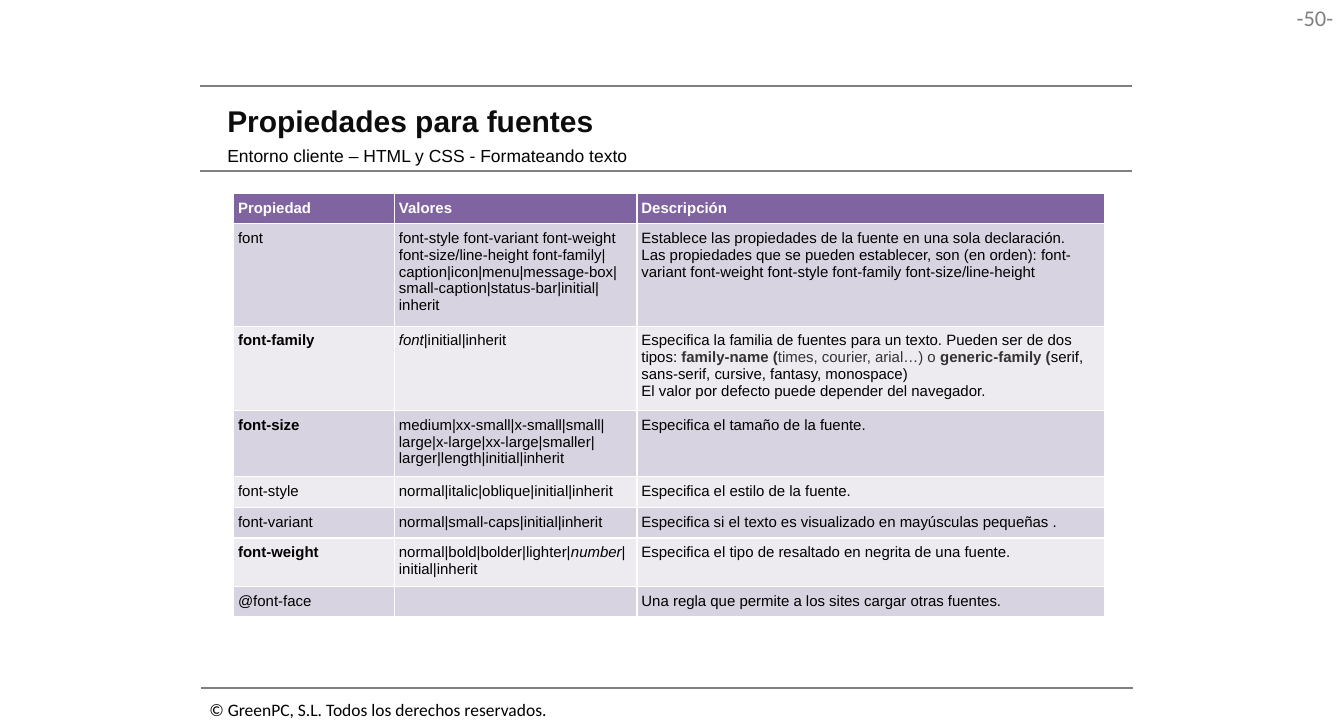
from dataclasses import dataclass
from typing import Optional, Union

from lxml import etree
from pptx import Presentation
from pptx.dml.color import RGBColor
from pptx.enum.shapes import MSO_CONNECTOR
from pptx.enum.text import MSO_ANCHOR, PP_ALIGN
from pptx.oxml.ns import qn
from pptx.util import Pt

STRAIGHT = MSO_CONNECTOR.STRAIGHT
TOP, MIDDLE = MSO_ANCHOR.TOP, MSO_ANCHOR.MIDDLE
LEFT, RIGHT = PP_ALIGN.LEFT, PP_ALIGN.RIGHT


@dataclass(frozen=True)
class Theme:
    head: str = "8064A2"
    bands: tuple = ("D8D3E0", "EDEAF0")
    white: str = "FFFFFF"
    black: str = "000000"
    title: str = "0D0D0D"
    soft: str = "333333"
    gray: str = "808080"
    sans: str = "Arial"
    plain: str = "Calibri"
    big: int = 24
    page: int = 18
    note: int = 14
    cell: int = 12


THEME = Theme()


@dataclass(frozen=True)
class Run:
    text: str
    bold: Optional[bool] = None
    italic: Optional[bool] = None
    color: Optional[str] = None


Line = Union[str, tuple[Run, ...]]


@dataclass(frozen=True)
class Prop:
    name: str
    values: Line
    about: tuple[Line, ...]
    bold: bool = False


@dataclass(frozen=True)
class Label:
    text: str
    box: tuple[float, float, float, float]
    size: int
    font: str
    color: str
    bold: bool = False
    align: PP_ALIGN = LEFT
    anchor: MSO_ANCHOR = TOP
    inset: tuple[float, float] = (7.2, 3.6)
    wrap: bool = False


@dataclass(frozen=True)
class Rule:
    left: float
    top: float
    width: float = 746.6


WIDE = (9.36, 5.04)
TITLE = Label("Propiedades para fuentes", (172.8, 77.04, 728.64, 38.88), THEME.big,
              THEME.sans, THEME.title, bold=True, anchor=MIDDLE, inset=WIDE, wrap=True)
LABELS = (
    Label("Entorno cliente – HTML y CSS - Formateando texto", (172.8, 111.6, 694.8, 26.64),
          THEME.note, THEME.sans, THEME.black, anchor=MIDDLE, inset=WIDE, wrap=True),
    Label("-50-", (1017.4, 0, 59, 29.5), THEME.page, THEME.plain, THEME.gray,
          align=RIGHT, inset=(7.92, 3.6)),
    Label("© GreenPC, S.L. Todos los derechos reservados.", (160.6, 556.6, 287.3, 24.5),
          THEME.note, THEME.plain, THEME.black),
)
RULES = (Rule(160.6, 69.1), Rule(160.6, 136.8), Rule(161.3, 551.5))

HEADS = ("Propiedad", "Valores", "Descripción")
WIDTHS = (128.9, 194.4, 374.4)
ROW = 23.04
PROPS = (
    Prop("font",
         "font-style font-variant font-weight font-size/line-height font-family|caption|icon|"
         "menu|message-box|small-caption|status-bar|initial|inherit",
         ("Establece las propiedades de la fuente en una sola declaración.",
          "Las propiedades que se pueden establecer, son (en orden): font-variant font-weight "
          "font-style font-family font-size/line-height")),
    Prop("font-family",
         (Run("font", italic=True), Run("|initial|inherit")),
         ((Run("Especifica la familia de fuentes para un texto. Pueden ser de dos tipos: "),
           Run("family-name (", bold=True, color=THEME.soft),
           Run("times, courier, arial…) o ", color=THEME.soft),
           Run("generic-family (", bold=True, color=THEME.soft),
           Run("serif, sans-serif, cursive, fantasy, monospace)")),
          "El valor por defecto puede depender del navegador."), bold=True),
    Prop("font-size",
         "medium|xx-small|x-small|small|large|x-large|xx-large|smaller|larger|length|"
         "initial|inherit",
         ("Especifica el tamaño de la fuente.",), bold=True),
    Prop("font-style", "normal|italic|oblique|initial|inherit",
         ("Especifica el estilo de la fuente.",)),
    Prop("font-variant", "normal|small-caps|initial|inherit",
         ("Especifica si el texto es visualizado en mayúsculas pequeñas .",)),
    Prop("font-weight",
         (Run("normal|bold|bolder|lighter|"), Run("number", italic=True),
          Run("|initial|inherit")),
         ("Especifica el tipo de resaltado en negrita de una fuente.",), bold=True),
    Prop("@font-face", "", ("Una regla que permite a los sites cargar otras fuentes.",)),
)


def style(font, size: int, name: str, color: str, bold: bool) -> None:
    font.size, font.name, font.bold = Pt(size), name, bold
    font.color.rgb = RGBColor.from_string(color)


def write(shape, label: Label) -> None:
    """Place a text shape and give it the label's text and format."""
    shape.left, shape.top, shape.width, shape.height = map(Pt, label.box)
    frame = shape.text_frame
    frame.word_wrap, frame.vertical_anchor = label.wrap, label.anchor
    frame.margin_left = frame.margin_right = Pt(label.inset[0])
    frame.margin_top = frame.margin_bottom = Pt(label.inset[1])
    frame.text = label.text
    para = frame.paragraphs[0]
    para.alignment = label.align
    style(para.font, label.size, label.font, label.color, label.bold)


def draw_rule(slide, rule: Rule) -> None:
    line = slide.shapes.add_connector(STRAIGHT, Pt(rule.left), Pt(rule.top),
                                      Pt(rule.left + rule.width), Pt(rule.top))
    line.line.width = Pt(1.5)
    line.line.color.rgb = RGBColor.from_string(THEME.gray)
    etree.SubElement(line._element.spPr, qn("a:effectLst"))


def fill_cell(cell, lines: tuple[Line, ...], fill: str, color: str, bold: bool) -> None:
    cell.fill.solid()
    cell.fill.fore_color.rgb = RGBColor.from_string(fill)
    cell.margin_left = cell.margin_right = Pt(3.6)
    cell.margin_top = cell.margin_bottom = Pt(5.04)
    frame = cell.text_frame
    for i, line in enumerate(lines):
        para = frame.add_paragraph() if i else frame.paragraphs[0]
        style(para.font, THEME.cell, THEME.sans, color, bold)
        if isinstance(line, str):
            para.text = line
            continue
        for part in line:
            run = para.add_run()
            run.text = part.text
            run.font.bold, run.font.italic = part.bold, part.italic
            if part.color:
                run.font.color.rgb = RGBColor.from_string(part.color)


def draw_table(slide) -> None:
    count = len(PROPS) + 1
    table = slide.shapes.add_table(count, len(HEADS), Pt(187.2), Pt(154.8),
                                   Pt(sum(WIDTHS)), Pt(ROW * count)).table
    for col, width in zip(table.columns, WIDTHS):
        col.width = Pt(width)
    for cell, head in zip(table.rows[0].cells, HEADS):
        fill_cell(cell, (head,), THEME.head, THEME.white, True)
    for i, prop in enumerate(PROPS):
        band = THEME.bands[i % 2]
        parts = ((prop.name,), (prop.values,), prop.about)
        for j, lines in enumerate(parts):
            fill_cell(table.cell(i + 1, j), lines, band, THEME.black, prop.bold and j == 0)


def main() -> None:
    deck = Presentation()
    deck.slide_width, deck.slide_height = Pt(1077.12), Pt(581.04)
    slide = deck.slides.add_slide(deck.slide_layouts[5])
    for rule in RULES:
        draw_rule(slide, rule)
    write(slide.shapes.title, TITLE)
    for label in LABELS:
        write(slide.shapes.add_textbox(0, 0, 0, 0), label)
    draw_table(slide)
    deck.save("out.pptx")


if __name__ == "__main__":
    main()
